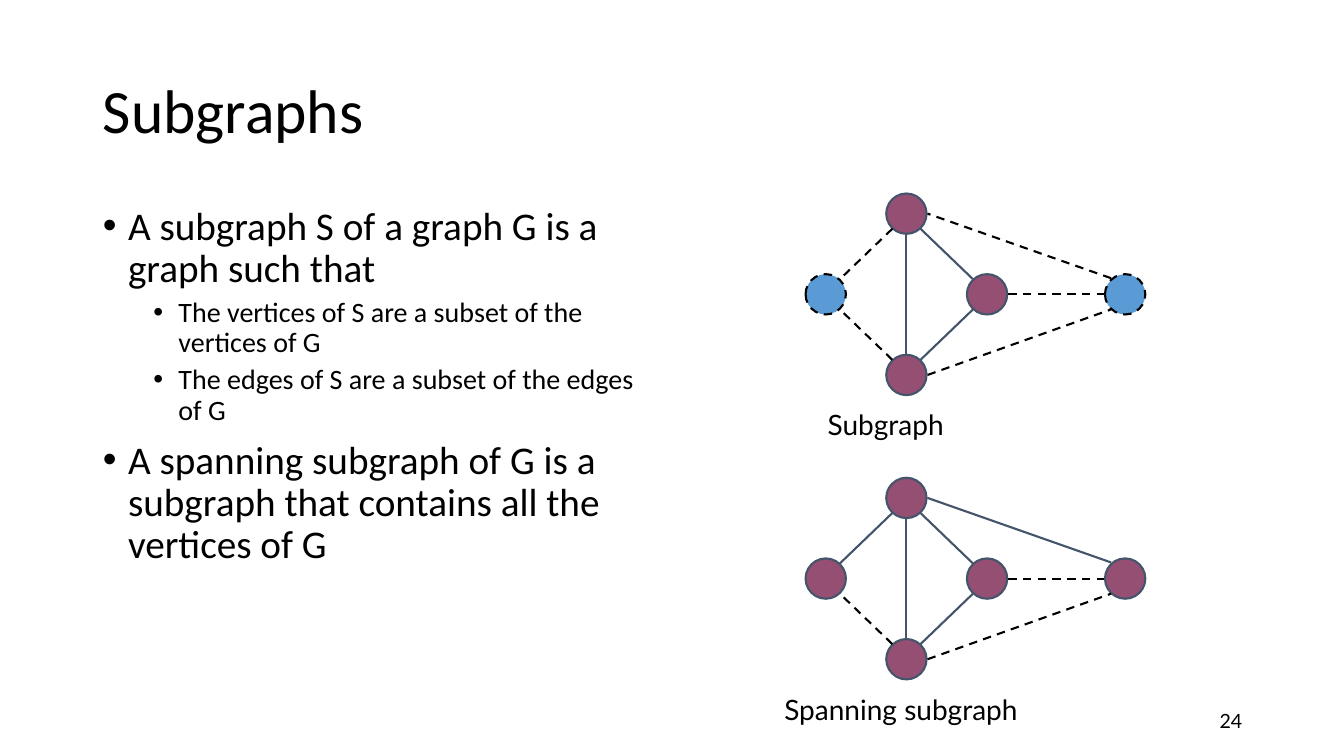
from lxml import etree
from pptx import Presentation
from pptx.dml.color import RGBColor
from pptx.enum.dml import MSO_LINE_DASH_STYLE as DASH
from pptx.enum.shapes import MSO_CONNECTOR, MSO_SHAPE
from pptx.enum.text import MSO_ANCHOR, MSO_AUTO_SIZE, PP_ALIGN
from pptx.oxml.ns import qn
from pptx.util import Pt

PX = 9144
BLACK = RGBColor(0x00, 0x00, 0x00)
PLUM = RGBColor(0x95, 0x4F, 0x72)
BLUE = RGBColor(0x5B, 0x9B, 0xD5)
SLATE = RGBColor(0x44, 0x54, 0x6A)


def add_run(p, text, size, font):
    r = p.add_run()
    r.text = text
    r.font.size = Pt(size)
    r.font.name = font
    r.font.color.rgb = BLACK


def style_line(line, dashed):
    line.width = Pt(1.5)
    line.color.rgb = BLACK if dashed else SLATE
    if dashed:
        line.dash_style = DASH.DASH


prs = Presentation()
prs.slide_width, prs.slide_height = 1333 * PX, 750 * PX
s = prs.slides.add_slide(prs.slide_layouts[1])

title, body = s.shapes.title, s.placeholders[1]
for sp, box, anchor in [
    (title, (92, 40, 1150, 145), MSO_ANCHOR.MIDDLE),
    (body, (92, 200, 567, 476), MSO_ANCHOR.TOP),
]:
    sp.left, sp.top, sp.width, sp.height = [v * PX for v in box]
    tf = sp.text_frame
    tf.word_wrap = True
    tf.auto_size = MSO_AUTO_SIZE.NONE
    tf.vertical_anchor = anchor

p = title.text_frame.paragraphs[0]
p.alignment = PP_ALIGN.LEFT
p.line_spacing = 0.9
add_run(p, "Subgraphs", 44, "Calibri")

bullets = [
    (0, "A subgraph S of a graph G is a graph such that"),
    (1, "The vertices of S are a subset of the vertices of G"),
    (1, "The edges of S are a subset of the edges of G"),
    (0, "A spanning subgraph of G is a subgraph that contains all the vertices of G"),
]
tf = body.text_frame
for i, (level, text) in enumerate(bullets):
    p = tf.add_paragraph() if i else tf.paragraphs[0]
    p.level = level
    pPr = p._p.get_or_add_pPr()
    pPr.set("marL", str((25 + 50 * level) * PX))
    pPr.set("indent", str(-25 * PX))
    etree.SubElement(pPr, qn("a:buFont")).set("typeface", "Arial")
    etree.SubElement(pPr, qn("a:buChar")).set("char", "•")
    p.line_spacing = 0.9
    p.space_before = Pt((5 if level else 10) if i else 0)
    p.space_after = Pt(0)
    add_run(p, text, 20 if level else 28, "Calibri")

labels = [
    ("24", (942, 695, 300, 40), 14, PP_ALIGN.RIGHT, MSO_ANCHOR.MIDDLE),
    ("Subgraph", (811, 399, 312, 43), 20, PP_ALIGN.LEFT, MSO_ANCHOR.TOP),
    ("Spanning subgraph", (768, 682, 399, 43), 20, PP_ALIGN.LEFT, MSO_ANCHOR.TOP),
]
for text, box, size, align, anchor in labels:
    tf = s.shapes.add_textbox(*[v * PX for v in box]).text_frame
    tf.word_wrap = True
    tf.vertical_anchor = anchor
    p = tf.paragraphs[0]
    p.alignment = align
    add_run(p, text, size, "Lato")

NODE = 40
nodes = {"top": (879, 0), "left": (799, 80), "middle": (959, 80),
         "bottom": (879, 160), "right": (1096, 80)}
edges = {
    "top-left": (885, 35, 833, 85),
    "bottom-left": (885, 165, 833, 115),
    "bottom-middle": (913, 165, 965, 115),
    "top-middle": (913, 35, 965, 85),
    "top-bottom": (899, 40, 899, 159),
    "middle-right": (1000, 100, 1095, 100),
    "bottom-right": (920, 180, 1102, 115),
    "right-top": (1102, 84, 920, 20),
}
graphs = [
    (192, {"left", "right"},
     {"top-left", "bottom-left", "middle-right", "bottom-right", "right-top"}),
    (474, set(), {"bottom-left", "middle-right", "bottom-right"}),
]
for graph_top, outside_nodes, outside_edges in graphs:
    for name, (x, y) in nodes.items():
        sp = s.shapes.add_shape(MSO_SHAPE.OVAL, x * PX, (graph_top + y) * PX,
                                NODE * PX, NODE * PX)
        sp.shadow.inherit = False
        sp.fill.solid()
        sp.fill.fore_color.rgb = BLUE if name in outside_nodes else PLUM
        style_line(sp.line, name in outside_nodes)
    for name, (x1, y1, x2, y2) in edges.items():
        edge = s.shapes.add_connector(
            MSO_CONNECTOR.STRAIGHT, x1 * PX, (graph_top + y1) * PX,
            x2 * PX, (graph_top + y2) * PX)
        style_line(edge.line, name in outside_edges)
        etree.SubElement(edge._element.spPr, qn("a:effectLst"))

prs.save("out.pptx")
